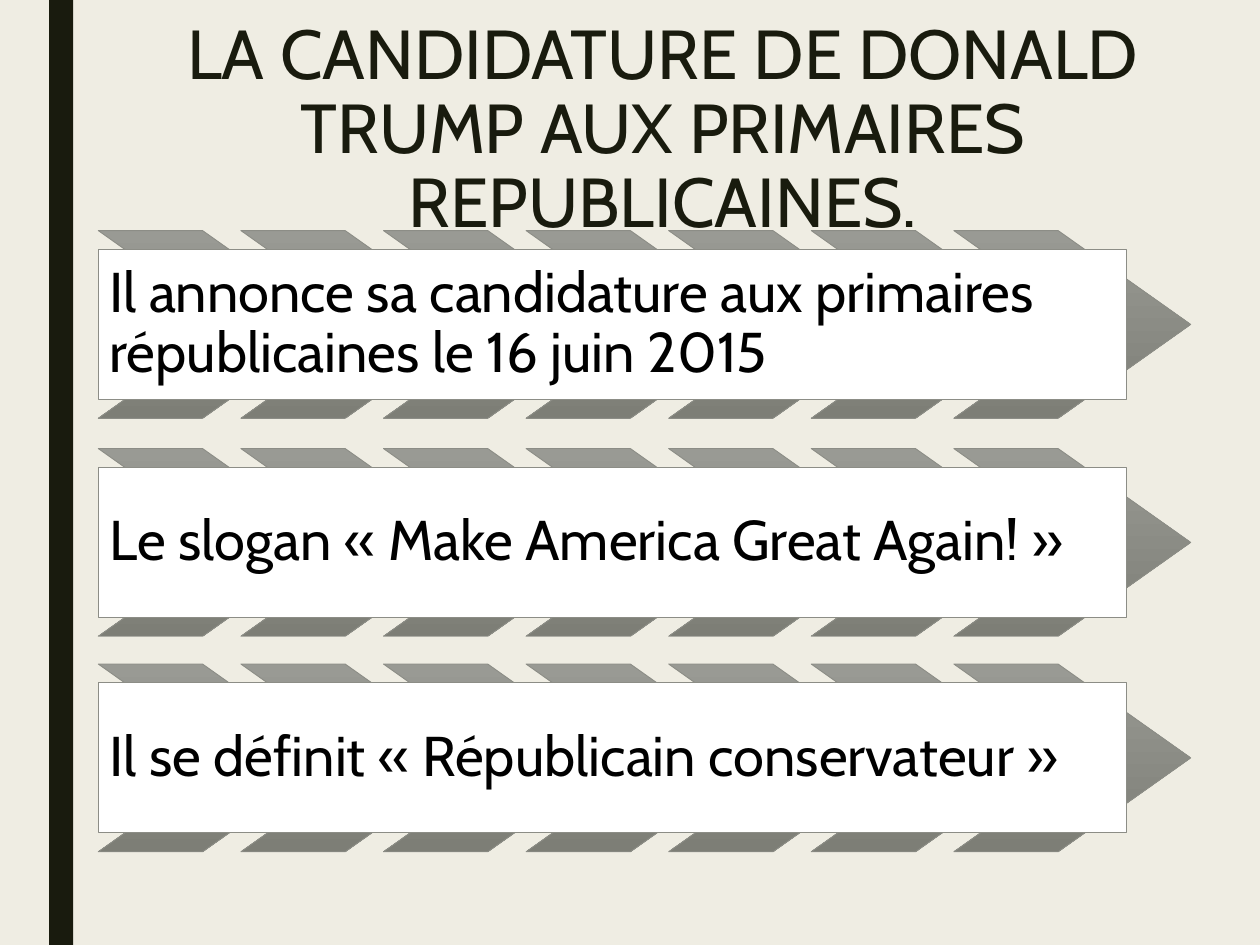
import pptx
import pptx.dml.color
import pptx.enum.shapes
import pptx.enum.text
import pptx.util
from pptx.util import Inches

SHAPE = pptx.enum.shapes.MSO_SHAPE
ANCHOR = pptx.enum.text.MSO_ANCHOR
ALIGN = pptx.enum.text.PP_ALIGN
FONT = "Cabin"
DARK, GREY = "191B0E", "8C8D86"
POINTS = [
    (1.83, "Il annonce sa candidature aux primaires républicaines le 16 juin 2015"),
    (3.56, "Le slogan « Make America Great Again! »"),
    (5.27, "Il se définit « Républicain conservateur »"),
]


def rgb(value):
    """Return the colour for a hex string."""
    return pptx.dml.color.RGBColor.from_string(value)


def add_shape(s, kind, left, top, width, height, fill=None, line=None):
    """Add a preset shape with an optional solid fill and thin outline."""
    sp = s.shapes.add_shape(kind, Inches(left), Inches(top), Inches(width), Inches(height))
    sp.shadow.inherit = False
    if fill:
        sp.fill.solid()
        sp.fill.fore_color.rgb = rgb(fill)
    if line:
        sp.line.color.rgb = rgb(line)
        sp.line.width = pptx.util.Pt(0.5)
    else:
        sp.line.fill.background()
    return sp


def write_text(sp, text, size, color, align, anchor, spacing, inset):
    """Fill a shape with one wrapped paragraph."""
    tf = sp.text_frame
    tf.word_wrap = True
    tf.vertical_anchor = anchor
    tf.margin_left = tf.margin_right = Inches(0.09)
    tf.margin_top = tf.margin_bottom = Inches(inset)
    p = tf.paragraphs[0]
    p.text = text
    p.alignment = align
    p.line_spacing = spacing
    p.font.name = FONT
    p.font.size = pptx.util.Pt(size)
    p.font.color.rgb = rgb(color)


def add_title(s, left, top, width, height):
    """Place the centred heading."""
    sp = s.shapes.add_textbox(Inches(left), Inches(top), Inches(width), Inches(height))
    write_text(sp, "LA CANDIDATURE DE DONALD TRUMP AUX PRIMAIRES REPUBLICAINES.",
               39.6, DARK, ALIGN.CENTER, ANCHOR.TOP, 0.89, 0.05)


def add_chevron_band(s, text, left, top, width, height, count=7):
    """Place a row of overlapping chevrons with a text panel across it."""
    chevron_width = 1.88
    step = (width - chevron_width) / (count - 1)
    for i in range(count):
        sp = add_shape(s, SHAPE.CHEVRON, left + i * step, top, chevron_width, height, line=GREY)
        sp.adjustments[0] = 0.706
        sp.fill.gradient()
        sp.fill.gradient_angle = 270
        for stop, color in zip(sp.fill.gradient_stops, ("999A94", "7D7E76")):
            stop.color.rgb = rgb(color)
    panel = add_shape(s, SHAPE.RECTANGLE, left, top + 0.15, width - 0.51, height - 0.3,
                      "FFFFFF", GREY)
    write_text(panel, text, 32, "000000", ALIGN.LEFT, ANCHOR.MIDDLE, 0.9, 0.09)


def main():
    """Build and save the slide."""
    prs = pptx.Presentation()
    prs.slide_width, prs.slide_height = Inches(10), Inches(7.5)
    s = prs.slides.add_slide(prs.slide_layouts[6])
    s.background.fill.solid()
    s.background.fill.fore_color.rgb = rgb("EFEDE3")
    add_shape(s, SHAPE.RECTANGLE, 0.39, 0, 0.19, 7.5, DARK)
    add_title(s, 0.72, 0.11, 9.08, 1.32)
    for top, text in POINTS:
        add_chevron_band(s, text, 0.78, top, 8.67, 1.49)
    prs.save("out.pptx")


if __name__ == "__main__":
    main()
